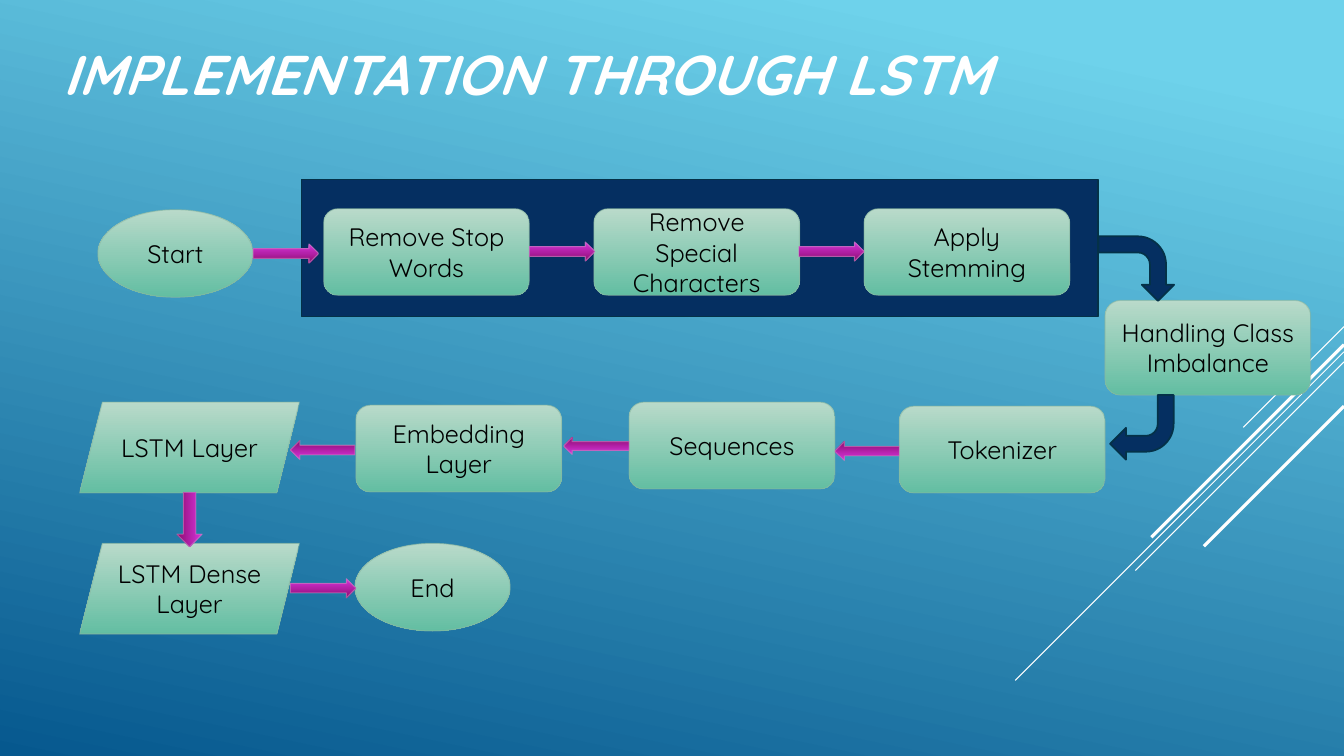
from lxml.etree import SubElement
from pptx import Presentation
from pptx.dml.color import RGBColor
from pptx.enum.shapes import MSO_CONNECTOR, MSO_SHAPE
from pptx.enum.text import MSO_ANCHOR, PP_ALIGN
from pptx.oxml.ns import qn
from pptx.util import Pt

PX = 9144  # 100 px to the inch
FONT = "Quicksand"
WHITE, BLACK, NAVY, EDGE = "FFFFFF", "000000", "052F61", "043148"
GREEN, PINK = ("B9DACA", "63BEA2", "8AB7A1"), ("D835DF", "8D0C6F", "C089BD")


def write(frame, text, size=18, color=BLACK, align=PP_ALIGN.CENTER, bold=False, italic=False):
    frame.word_wrap = True
    frame.vertical_anchor = MSO_ANCHOR.MIDDLE
    par = frame.paragraphs[0]
    par.alignment = align
    run = par.add_run()
    run.text = text
    font = run.font
    font.name, font.size, font.bold, font.italic = FONT, Pt(size), bold, italic
    font.color.rgb = RGBColor.from_string(color)


def draw(kind, box, tones=None, turn=0):
    item = slide.shapes.add_shape(kind, *[n * PX for n in box])
    item.shadow.inherit = False
    item.rotation = turn
    if tones:
        item.fill.gradient()
        item.fill.gradient_angle = 270
        for stop, tone in zip(item.fill.gradient_stops, tones):
            stop.color.rgb = RGBColor.from_string(tone)
        item.line.color.rgb = RGBColor.from_string(tones[2])
        item.line.width = Pt(0.75)
        tint = item.line.fill._xPr.find(".//" + qn("a:srgbClr"))
        SubElement(tint, qn("a:alpha"), val="60000")
    else:
        item.fill.solid()
        item.fill.fore_color.rgb = RGBColor.from_string(NAVY)
        item.line.color.rgb = RGBColor.from_string(EDGE)
        item.line.width = Pt(1.25)
    return item


deck = Presentation()
deck.slide_width, deck.slide_height = 1333 * PX, 750 * PX
slide = deck.slides.add_slide(deck.slide_layouts[5])

# Background
back = slide.background.fill
back.gradient()
back.gradient_angle = 258
for stop, tone, place in zip(back.gradient_stops, ("6ED2EB", "06588E"), (0.1, 1)):
    stop.color.rgb = RGBColor.from_string(tone)
    stop.position = place

# Diagonal lines, all at 45 degrees from the right edge
for top, span, width in [(324, 100, 0.75), (349, 326, 0.75), (359, 207, 0.75),
                         (342, 191, 2.25), (403, 139, 2.25)]:
    line = slide.shapes.add_connector(
        MSO_CONNECTOR.STRAIGHT, 1333 * PX, top * PX, (1333 - span) * PX, (top + span) * PX)
    line.line.color.rgb = RGBColor.from_string(WHITE)
    line.line.width = Pt(width)
    SubElement(line._element.spPr, qn("a:effectLst"))

# Title
title = slide.shapes.title
title.left, title.top, title.width, title.height = [n * PX for n in (52, 9, 1032, 128)]
write(title.text_frame, "IMPLEMENTATION THROUGH LSTM", size=40, color=WHITE,
      align=PP_ALIGN.LEFT, bold=True, italic=True)

# Panel behind the cleaning steps
draw(MSO_SHAPE.RECTANGLE, (299, 178, 790, 136))

# Steps
STEP, DATA, END = MSO_SHAPE.ROUNDED_RECTANGLE, MSO_SHAPE.PARALLELOGRAM, MSO_SHAPE.OVAL
sizes = {STEP: (204, 86), DATA: (218, 90), END: (154, 87)}
steps = [
    (END, 97, 208, "Start"),
    (STEP, 321, 207, "Remove Stop Words"),
    (STEP, 589, 207, "Remove Special Characters"),
    (STEP, 857, 207, "Apply Stemming"),
    (STEP, 1096, 298, "Handling Class Imbalance"),
    (STEP, 892, 403, "Tokenizer"),
    (STEP, 624, 399, "Sequences"),
    (STEP, 353, 402, "Embedding Layer"),
    (DATA, 79, 399, "LSTM Layer"),
    (DATA, 79, 539, "LSTM Dense Layer"),
    (END, 352, 539, "End"),
]
for kind, left, top, text in steps:
    wide, high = sizes[kind]
    if text.startswith("Handling"):
        high = 94
    write(draw(kind, (left, top, wide, high), GREEN).text_frame, text)

# Straight arrows: left, top, width, height, turn
for *box, turn in [
    (251, 242, 65, 19, 0), (525, 240, 65, 19, 0), (792, 240, 65, 19, 0),
    (828, 438, 64, 19, 180), (559, 434, 65, 17, 180), (288, 437, 64, 19, 180),
    (161, 503, 54, 25, 90), (288, 574, 65, 19, 0),
]:
    draw(MSO_SHAPE.RIGHT_ARROW, box, PINK, turn)

# Bent arrows around the class step
draw(MSO_SHAPE.BENT_ARROW, (1095, 229, 64, 75), turn=90)
draw(MSO_SHAPE.BENT_ARROW, (1101, 392, 63, 64), turn=180)

deck.save("out.pptx")
